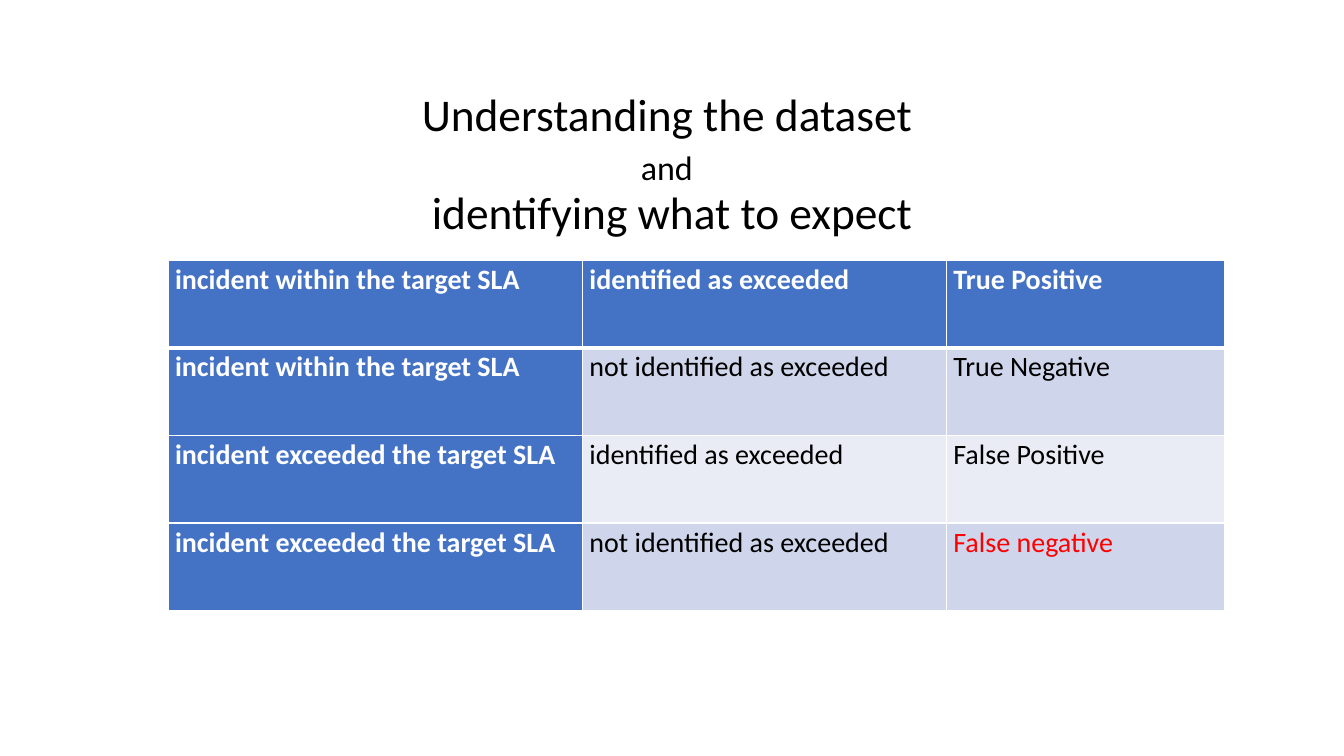
import pptx
import pptx.util
import pptx.dml.color
import pptx.enum.text
import pptx.oxml.ns
from lxml import etree

# Content
TITLE = [("Understanding the dataset ", 32.4), ("and", 24.3),
         ("identifying what to expect", 32.4)]
ROWS = [
    ("incident within the target SLA", "identified as exceeded", "True Positive"),
    ("incident within the target SLA", "not identified as exceeded", "True Negative"),
    ("incident exceeded the target SLA", "identified as exceeded", "False Positive"),
    ("incident exceeded the target SLA", "not identified as exceeded", "False negative"),
]
HIGHLIGHT = "False negative"

# Style and grid
COLORS = {"head": "4472C4", "band": "CFD5EA", "plain": "E9EBF5",
          "white": "FFFFFF", "black": "000000", "red": "FF0000"}
FONT = "Calibri"
WIDTH, HEIGHT = 13.33, 7.5
LEFT = WIDTH / 8
TITLE_TOP, TITLE_WIDTH, TITLE_HEIGHT = 1.38, WIDTH * 0.75, 1.04
TABLE_TOP, ROW_HEIGHT = 2.58, 0.87
COLUMNS = [4.11, 3.61, 2.76]

inch, pt, qn = pptx.util.Inches, pptx.util.Pt, pptx.oxml.ns.qn


def add_run(p, text, size, color, bold=False):
    r = p.add_run()
    r.text = text
    r.font.name, r.font.size, r.font.bold = FONT, pt(size), bold
    r.font.color.rgb = pptx.dml.color.RGBColor.from_string(COLORS[color])


def add_break(p, size):
    p.add_line_break()
    etree.SubElement(p._p[-1], qn("a:rPr"), sz=str(round(size * 100)))


def set_borders(cell, widths):
    tc_pr = cell._tc.get_or_add_tcPr()
    for i, (side, width) in enumerate(widths.items()):
        ln = etree.Element(qn("a:ln" + side), w=str(pt(width)))
        fill = etree.SubElement(ln, qn("a:solidFill"))
        etree.SubElement(fill, qn("a:srgbClr"), val=COLORS["white"])
        tc_pr.insert(i, ln)


prs = pptx.Presentation()
prs.slide_width, prs.slide_height = inch(WIDTH), inch(HEIGHT)
s = prs.slides.add_slide(prs.slide_layouts[0])
subtitle = s.placeholders[1]
subtitle._element.getparent().remove(subtitle._element)

# Title
title = s.shapes.title
title.left, title.top = inch(LEFT), inch(TITLE_TOP)
title.width, title.height = inch(TITLE_WIDTH), inch(TITLE_HEIGHT)
tf = title.text_frame
tf.word_wrap = True
tf.auto_size = pptx.enum.text.MSO_AUTO_SIZE.NONE
tf.vertical_anchor = pptx.enum.text.MSO_ANCHOR.BOTTOM
p = tf.paragraphs[0]
p.alignment = pptx.enum.text.PP_ALIGN.CENTER
p.line_spacing = 0.9
main_size = TITLE[0][1]
for i, (text, size) in enumerate(TITLE):
    if i:
        add_break(p, main_size)
    add_run(p, text, size, "black")
    if size < main_size:
        add_run(p, " ", main_size, "black")  # keeps the line at full height

# Table
table = s.shapes.add_table(len(ROWS), len(COLUMNS), inch(LEFT), inch(TABLE_TOP),
                           inch(sum(COLUMNS)), inch(ROW_HEIGHT * len(ROWS))).table
table.first_col = True
for column, width in zip(table.columns, COLUMNS):
    column.width = inch(width)
for i, row in enumerate(ROWS):
    table.rows[i].height = inch(ROW_HEIGHT)
    for j, text in enumerate(row):
        cell = table.cell(i, j)
        head = i == 0 or j == 0
        fill = "head" if head else "band" if i % 2 else "plain"
        color = "white" if head else "red" if text == HIGHLIGHT else "black"
        cell.fill.solid()
        cell.fill.fore_color.rgb = pptx.dml.color.RGBColor.from_string(COLORS[fill])
        cell.margin_left = cell.margin_right = inch(0.07)
        cell.margin_top = cell.margin_bottom = 0
        p = cell.text_frame.paragraphs[0]
        p.line_spacing = 1.07
        add_run(p, text, 20, color, head)
        set_borders(cell, {"L": 1, "R": 1, "T": 3 if i == 1 else 1,
                           "B": 3 if i == 0 else 1})

prs.save("out.pptx")
